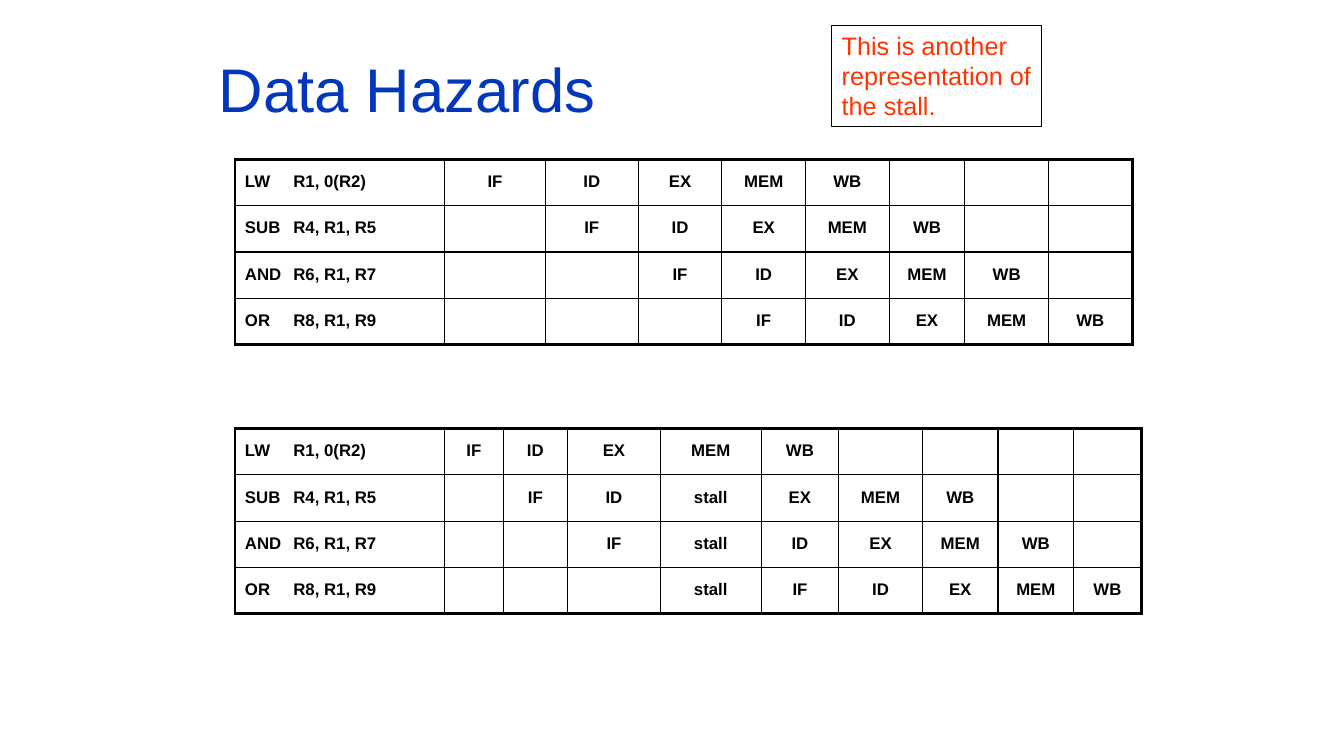
from lxml.etree import SubElement
from pptx import Presentation
from pptx.dml.color import RGBColor
from pptx.enum.shapes import MSO_SHAPE
from pptx.enum.text import MSO_ANCHOR, PP_ALIGN
from pptx.oxml import parse_xml
from pptx.oxml.ns import nsdecls, qn
from pptx.util import Inches, Pt

BLUE = RGBColor(0x02, 0x37, 0xBC)
ORANGE_RED = RGBColor(0xFF, 0x33, 0x00)
BLACK = RGBColor(0x00, 0x00, 0x00)

FONT = "Arial"
ROW_HEIGHT = 0.46
INNER_LINE, OUTER_LINE = 1, 2.25
STALL_COLUMN = 4

STAGES = ["IF", "ID", "EX", "MEM", "WB"]
INSTRUCTIONS = ["LW\tR1, 0(R2)", "SUB\tR4, R1, R5", "AND\tR6, R1, R7", "OR\tR8, R1, R9"]
PLAIN_WIDTHS = [2.08, 1, 0.92, 0.83, 0.83, 0.83, 0.75, 0.83, 0.83]
STALLED_WIDTHS = [2.08, 0.58, 0.64, 0.92, 1, 0.77, 0.83, 0.75, 0.75, 0.67]


def format_text(para, size, color, bold=False):
    for span in para.runs:
        span.font.name = FONT
        span.font.size = Pt(size)
        span.font.bold = bold
        span.font.color.rgb = color


def add_title(page, text):
    title = page.shapes.title
    title.left, title.top = Inches(1.83), Inches(0.25)
    title.width, title.height = Inches(4.42), Inches(1.25)
    title.text_frame.text = text
    title.text_frame.vertical_anchor = MSO_ANCHOR.MIDDLE
    para = title.text_frame.paragraphs[0]
    para.alignment = PP_ALIGN.CENTER
    format_text(para, 44, BLUE)


def add_note_box(page, text):
    box = page.shapes.add_shape(
        MSO_SHAPE.RECTANGLE, Inches(8.25), Inches(0.25), Inches(2.08), Inches(1.01))
    box.shadow.inherit = False
    box.fill.background()
    box.line.color.rgb = BLACK
    box.line.width = Pt(0.75)
    frame = box.text_frame
    frame.word_wrap = True
    frame.vertical_anchor = MSO_ANCHOR.TOP
    frame.text = text
    para = frame.paragraphs[0]
    para.alignment = PP_ALIGN.LEFT
    format_text(para, 18, ORANGE_RED)


def set_borders(cell, widths):
    """Set the left, right, top and bottom line widths, in points."""
    properties = cell._tc.get_or_add_tcPr()
    for index, (side, width) in enumerate(zip("LRTB", widths)):
        properties.insert(index, parse_xml(
            f'<a:ln{side} {nsdecls("a")} w="{Pt(width)}"><a:solidFill>'
            f'<a:srgbClr val="{BLACK}"/></a:solidFill></a:ln{side}>'))


def add_tab_stop(para, position):
    tabs = SubElement(para._p.get_or_add_pPr(), qn("a:tabLst"))
    SubElement(tabs, qn("a:tab"), pos=str(Inches(position)), algn="l")


def fill_cell(cell, text, is_instruction):
    cell.fill.background()
    cell.vertical_anchor = MSO_ANCHOR.MIDDLE
    cell.text_frame.text = text
    para = cell.text_frame.paragraphs[0]
    if is_instruction:
        add_tab_stop(para, 0.48)
    para.alignment = PP_ALIGN.LEFT if is_instruction else PP_ALIGN.CENTER
    para.line_spacing = 0.9
    format_text(para, 12, BLACK, bold=True)


def pipeline_rows(column_count, stalled):
    """Start each instruction one cycle after the one before it."""
    rows = []
    for index, instruction in enumerate(INSTRUCTIONS):
        row = [instruction] + [""] * index + STAGES
        if stalled and index > 0:
            row.insert(STALL_COLUMN, "stall")
        rows.append(row + [""] * (column_count - len(row)))
    return rows


def add_pipeline_table(page, top, widths, stalled):
    rows = pipeline_rows(len(widths), stalled)
    last_row, last_column = len(rows) - 1, len(widths) - 1
    table = page.shapes.add_table(
        len(rows), len(widths), Inches(2.33), Inches(top),
        Inches(sum(widths)), Inches(ROW_HEIGHT * len(rows))).table
    table.first_row = table.horz_banding = False
    for column, width in zip(table.columns, widths):
        column.width = Inches(width)
    for r, row in enumerate(rows):
        table.rows[r].height = Inches(ROW_HEIGHT)
        for c, text in enumerate(row):
            cell = table.cell(r, c)
            fill_cell(cell, text, is_instruction=c == 0)
            at_edge = (c == 0, c == last_column, r == 0, r == last_row)
            set_borders(cell, [OUTER_LINE if edge else INNER_LINE for edge in at_edge])


def main():
    deck = Presentation()
    deck.slide_width, deck.slide_height = Inches(13.33), Inches(7.5)
    page = deck.slides.add_slide(deck.slide_layouts[5])

    # Heading and remark
    add_title(page, "Data Hazards")
    add_note_box(page, "This is another representation of the stall.")

    # Pipeline without and with the stall
    add_pipeline_table(page, 1.58, PLAIN_WIDTHS, stalled=False)
    add_pipeline_table(page, 4.25, STALLED_WIDTHS, stalled=True)

    deck.save("out.pptx")


if __name__ == "__main__":
    main()
